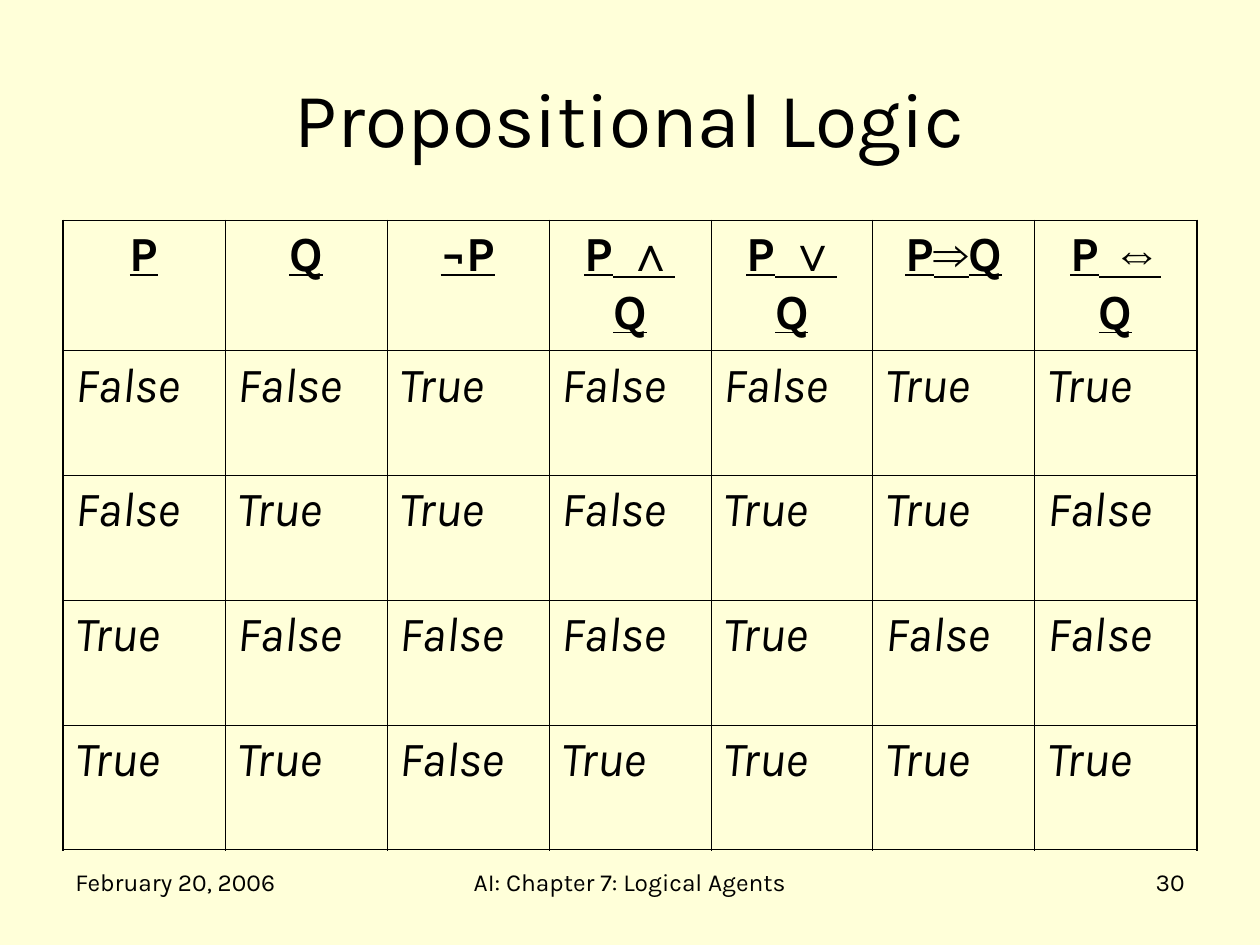
from lxml import etree
from pptx import Presentation
from pptx.dml import color
from pptx.enum import text
from pptx.oxml import ns
from pptx.util import Pt

COLORS = {"background": "FFFFD9", "ink": "000000"}
HEADERS = ["P", "Q", "¬P", "P ∧ Q", "P ∨ Q", "P⇒Q", "P ⇔ Q"]
OPERATORS = "∧∨⇒⇔"
TRUTH_ROWS = ["FFTFFTT", "FTTFTTF", "TFFFTFF", "TTFTTTT"]
WORDS = {"T": "True", "F": "False"}
ALIGN = text.PP_ALIGN


def split_operator(label):
    for operator in OPERATORS:
        if operator in label:
            left, right = label.split(operator)
            middle = f" {operator} " if left.endswith(" ") else operator
            return [left.strip(), middle, right.strip()]
    return [label]


def write(frame, content, size=14, align=ALIGN.LEFT, before=0, **style):
    paragraph = frame.paragraphs[0]
    paragraph.alignment = align
    paragraph.space_before = Pt(before)
    for part in split_operator(content):
        run = paragraph.add_run()
        run.text = part
        font = run.font
        font.name = "Arial" if part.strip() in OPERATORS else "Karla"
        font.size = Pt(size)
        font.color.rgb = color.RGBColor.from_string(COLORS["ink"])
        for name, value in style.items():
            setattr(font, name, value)


class SlideBuilder:
    """Hold the line widths and current slide, and add its elements."""

    inner_line = 0.45
    outer_line = 1.08

    def __init__(self, slide):
        self.slide = slide
        fill = slide.background.fill
        fill.solid()
        fill.fore_color.rgb = color.RGBColor.from_string(COLORS["background"])

    def text_box(self, content, left, top, width, height,
                 anchor=text.MSO_ANCHOR.TOP, **style):
        box = self.slide.shapes.add_textbox(Pt(left), Pt(top), Pt(width), Pt(height))
        box.text_frame.word_wrap = True
        box.text_frame.vertical_anchor = anchor
        write(box.text_frame, content, **style)

    def border(self, cell, side, is_outer):
        width = self.outer_line if is_outer else self.inner_line
        properties = cell._tc.get_or_add_tcPr()
        line = etree.SubElement(properties, ns.qn(f"a:ln{side}"), w=str(Pt(width)))
        fill = etree.SubElement(line, ns.qn("a:solidFill"))
        etree.SubElement(fill, ns.qn("a:srgbClr"), val=COLORS["ink"])

    def truth_table(self, left, top, width, height):
        rows = [HEADERS] + [[WORDS[key] for key in row] for row in TRUTH_ROWS]
        last_row, last_column = len(rows) - 1, len(HEADERS) - 1
        frame = self.slide.shapes.add_table(
            len(rows), len(HEADERS), Pt(left), Pt(top), Pt(width), Pt(height))
        table = frame.table
        table.first_row = False
        table.horz_banding = False
        for column in table.columns:
            column.width = Pt(width / len(HEADERS))
        for row in table.rows:
            row.height = Pt(height / len(rows))
        for i, row in enumerate(rows):
            if i == 0:
                style = {"align": ALIGN.CENTER, "bold": True, "underline": True}
            else:
                style = {"italic": True}
            for j, content in enumerate(row):
                cell = table.cell(i, j)
                write(cell.text_frame, content, size=28, before=7, **style)
                self.border(cell, "L", j == 0)
                self.border(cell, "R", j == last_column)
                self.border(cell, "T", i == 0)
                self.border(cell, "B", i == last_row)
                cell.fill.background()


def main():
    presentation = Presentation()
    presentation.slide_width, presentation.slide_height = Pt(720), Pt(540)
    builder = SlideBuilder(presentation.slides.add_slide(presentation.slide_layouts[6]))
    footers = [
        ("February 20, 2006", 36, 168, ALIGN.LEFT),
        ("AI: Chapter 7: Logical Agents", 246, 228, ALIGN.CENTER),
        ("30", 516, 168, ALIGN.RIGHT),
    ]
    for content, left, width, align in footers:
        builder.text_box(content, left, 492, width, 37.5, align=align)
    builder.text_box("Propositional Logic", 36, 21.6, 648, 90,
                     anchor=text.MSO_ANCHOR.MIDDLE, size=44, align=ALIGN.CENTER)
    builder.truth_table(36, 126, 648, 356.4)
    presentation.save("out.pptx")


if __name__ == "__main__":
    main()
